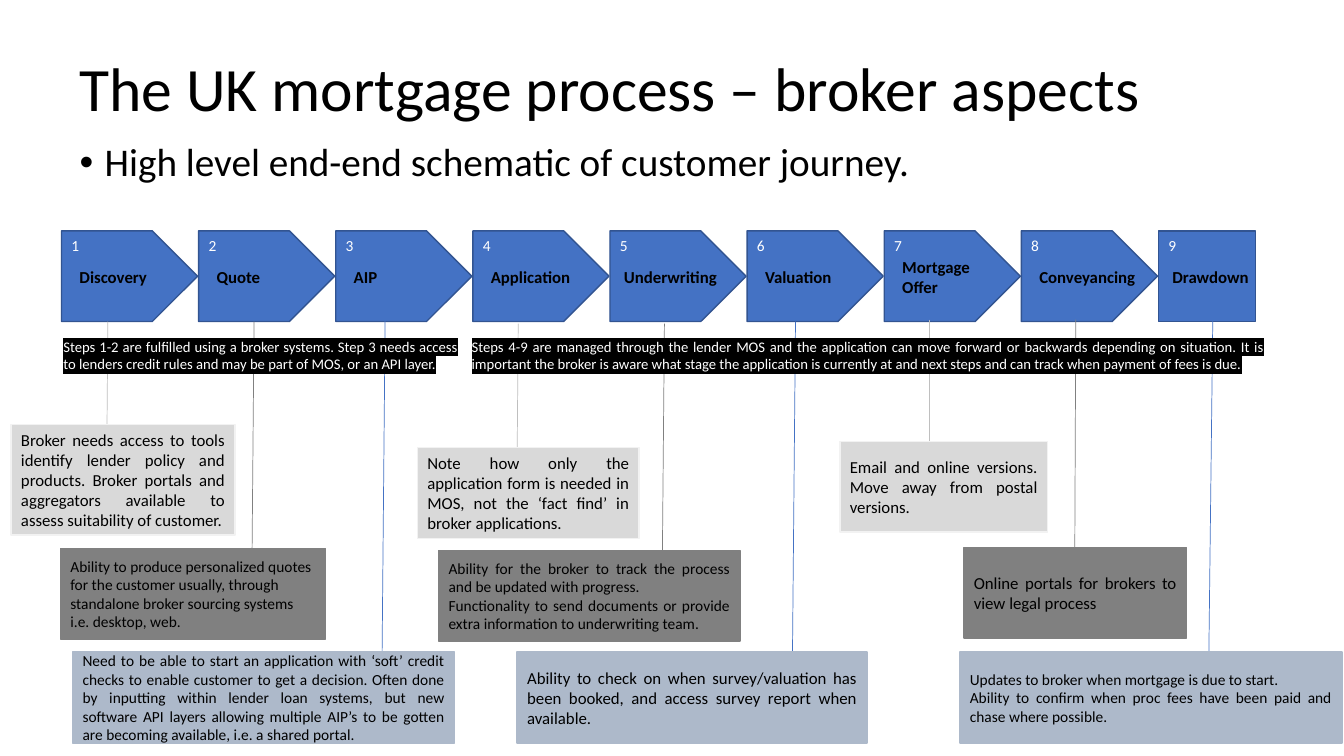
"""Build a slide on the UK mortgage process as the broker sees it."""
from lxml.etree import SubElement, Element
from pptx import Presentation
from pptx.dml.color import RGBColor as RGB
from pptx.enum.shapes import MSO_CONNECTOR as LINK, MSO_SHAPE as KIND
from pptx.enum.text import MSO_ANCHOR as ANCHOR, PP_ALIGN as ALIGN
from pptx.oxml.ns import qn
from pptx.util import Inches, Pt

HUES = {
    "ink": "000000", "white": "FFFFFF", "step": "4472C4", "edge": "325491",
    "pale": "D9D9D9", "rim": "F2F2F2", "grey": "808080", "blue": "ADB9CA",
    "thin": "BFBFBF",
}

deck = Presentation()
deck.slide_width, deck.slide_height = Inches(13.33), Inches(7.5)
slide = deck.slides.add_slide(deck.slide_layouts[6])
shapes = slide.shapes


def write(shape, text, size, hue="ink", bold=False, mid=False, **form):
    frame = shape.text_frame
    frame.word_wrap = True
    frame.vertical_anchor = ANCHOR.MIDDLE if mid else ANCHOR.TOP
    look = {"name": "Calibri", "size": Pt(size), "bold": bold}
    for i, line in enumerate(text.split("\n")):
        para = frame.add_paragraph() if i else frame.paragraphs[0]
        for key, val in {"alignment": ALIGN.LEFT, **form}.items():
            setattr(para, key, val)
        run = para.add_run()
        run.text = line
        for key, val in look.items():
            setattr(run.font, key, val)
        run.font.color.rgb = RGB.from_string(HUES[hue])
    return frame


def block(kind, spot, fill, edge):
    shape = shapes.add_shape(kind, *map(Inches, spot))
    shape.shadow.inherit = False
    shape.fill.solid()
    shape.fill.fore_color.rgb = RGB.from_string(HUES[fill])
    shape.line.color.rgb = RGB.from_string(HUES[edge])
    shape.line.width = Pt(1)
    return shape


title = shapes.add_textbox(*map(Inches, (0.69, 0.18, 11.5, 1.45)))
write(title, "The UK mortgage process – broker aspects", 44, mid=True,
      line_spacing=0.9)

lead = shapes.add_textbox(*map(Inches, (0.69, 1.37, 11.91, 0.54)))
frame = write(lead, "High level end-end schematic of customer journey.", 28,
              line_spacing=0.9, space_before=Pt(10))
props = frame.paragraphs[0]._p.get_or_add_pPr()
props.set("marL", str(Inches(0.25)))
props.set("indent", str(-Inches(0.25)))
SubElement(props, qn("a:buFont"), typeface="Arial")
SubElement(props, qn("a:buChar"), char="•")

steps = [
    ("Discovery", 0.08), ("Quote", 0.08), ("AIP", 0.08),
    ("Application", 0.08), ("Underwriting", 0.04), ("Valuation", 0.08),
    ("Mortgage Offer", 0.08), ("Conveyancing", 0.08), ("Drawdown", 0.04),
]
for i, (name, shift) in enumerate(steps):
    left = 0.61 + 1.36 * i
    last = i == len(steps) - 1
    kind, wide = (KIND.RECTANGLE, 0.96) if last else (KIND.PENTAGON, 1.35)
    block(kind, (left, 2.29, wide, 0.9), "step", "edge")
    count = shapes.add_textbox(*map(Inches, (left, 2.29, 0.33, 0.29)))
    write(count, str(i + 1), 11, "white")
    label = shapes.add_textbox(*map(Inches, (left + shift, 2.5, 1.17, 0.5)))
    write(label, name, 12, bold=True, mid=True)

stems = [
    (1.07, 1.06, 3.19, 4.42), (2.52, 2.5, 3.19, 5.48),
    (3.82, 3.79, 3.17, 6.47), (5.14, 5.13, 3.21, 4.44),
    (6.59, 6.57, 3.21, 5.5), (7.89, 7.86, 3.19, 6.49),
    (9.22, 9.22, 3.17, 4.4), (10.67, 10.66, 3.17, 5.46),
    (12.03, 11.99, 3.05, 6.47),
]
for i, (head, foot, top, end) in enumerate(stems):
    stem = shapes.add_connector(LINK.STRAIGHT, *map(Inches, (head, top, foot, end)))
    stem.line.color.rgb = RGB.from_string(HUES[("thin", "grey", "step")[i % 3]])
    stem.line.width = Pt(0.5)
    SubElement(stem._element.spPr, qn("a:effectLst"))

notes = [
    ((0.11, 4.21, 2.22, 1.1), 12,
     "Broker needs access to tools identify lender policy and products. Broker "
     "portals and aggregators available to assess suitability of customer."),
    ((0.6, 5.44, 2.63, 0.9), 11,
     "Ability to produce personalized quotes for the customer usually, through "
     "standalone broker sourcing systems i.e. desktop, web."),
    ((0.72, 6.47, 3.79, 0.9), 11,
     "Need to be able to start an application with ‘soft’ credit checks to enable "
     "customer to get a decision. Often done by inputting within lender loan "
     "systems, but new software API layers allowing multiple AIP’s to be gotten "
     "are becoming available, i.e. a shared portal."),
    ((4.14, 4.44, 2.2, 0.9), 12,
     "Note how only the application form is needed in MOS, not the ‘fact find’ "
     "in broker applications."),
    ((4.35, 5.46, 2.99, 0.9), 11,
     "Ability for the broker to track the process and be updated with progress.\n"
     "Functionality to send documents or provide extra information to "
     "underwriting team."),
    ((5.13, 6.47, 3.47, 0.9), 12,
     "Ability to check on when survey/valuation has been booked, and access "
     "survey report when available."),
    ((8.33, 4.38, 2.06, 0.9), 12,
     "Email and online versions. Move away from postal versions."),
    ((9.56, 5.43, 2.21, 0.9), 12,
     "Online portals for brokers to view legal process"),
    ((9.52, 6.47, 3.79, 0.9), 11,
     "Updates to broker when mortgage is due to start.\n"
     "Ability to confirm when proc fees have been paid and chase where possible."),
]
tones = [("pale", "rim"), ("grey", "grey"), ("blue", "blue")]
for i, (spot, size, text) in enumerate(notes):
    note = block(KIND.RECTANGLE, spot, *tones[i % 3])
    side = ALIGN.LEFT if i == 1 else ALIGN.JUSTIFY
    write(note, text, size, mid=True, alignment=side)

bands = [
    (4.58, 8.06,
     "Steps 4-9 are managed through the lender MOS and the application can move "
     "forward or backwards depending on situation. It is important the broker is "
     "aware what stage the application is currently at and next steps and can "
     "track when payment of fees is due."),
    (0.53, 4.11,
     "Steps 1-2 are fulfilled using a broker systems. Step 3 needs access to "
     "lenders credit rules and may be part of MOS, or an API layer."),
]
for left, wide, text in bands:
    band = shapes.add_textbox(*map(Inches, (left, 3.3, wide, 0.45)))
    frame = write(band, text, 10.5, "white", alignment=ALIGN.JUSTIFY)
    mark = Element(qn("a:highlight"))
    SubElement(mark, qn("a:srgbClr"), val=HUES["ink"])
    font = frame.paragraphs[0].runs[0]._r.get_or_add_rPr()
    font.find(qn("a:solidFill")).addnext(mark)

deck.save("out.pptx")
